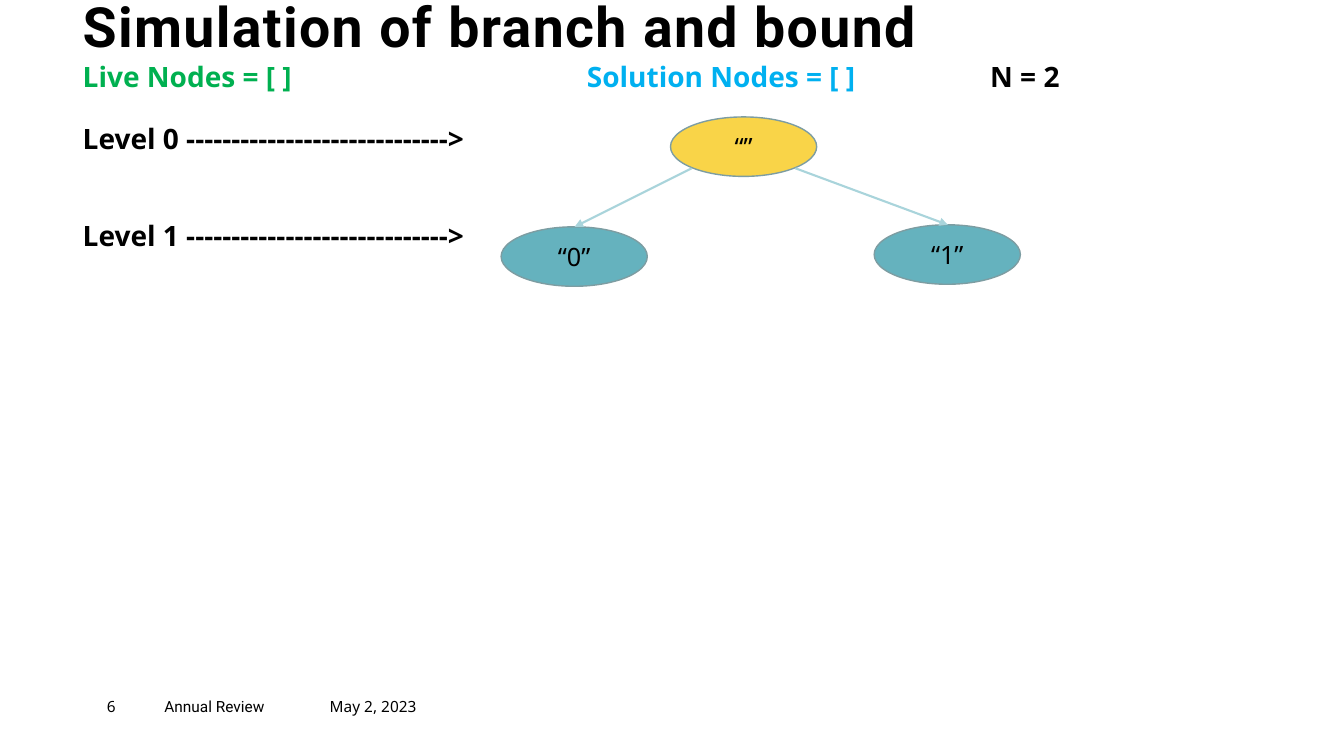
from pptx import Presentation
from pptx.dml.color import RGBColor
from pptx.enum.shapes import MSO_CONNECTOR, MSO_SHAPE
from pptx.enum.text import MSO_ANCHOR, PP_ALIGN
from pptx.oxml.ns import qn
from pptx.util import Inches, Pt
from lxml.etree import SubElement

COLORS = {
    "black": "000000",
    "green": "00B050",
    "blue": "00B0F0",
    "yellow": "F9D448",
    "teal": "65B2BE",
    "edge": "7D9DA2",
    "arrow": "A9D4DB",
}


def color(name):
    return RGBColor.from_string(COLORS[name])


def write(para, text, size=11, font="Noto Sans", ink="black", bold=False, track=0):
    run = para.add_run()
    run.text = text
    run.font.size = Pt(size)
    run.font.name = font
    run.font.bold = bold
    run.font.color.rgb = color(ink)
    if track:
        run.font._element.set("spc", str(track * 100))


deck = Presentation()
deck.slide_width = Inches(13.33)
deck.slide_height = Inches(7.5)
slide = deck.slides.add_slide(deck.slide_layouts[6])

frames = {}
for name, left, top, width, height in [
    ("title", 0.82, 0.02, 9.3, 0.57),
    ("date", 3.27, 6.92, 1.44, 0.27),
    ("footer", 1.63, 6.92, 1.64, 0.27),
    ("number", 1.06, 6.92, 0.57, 0.27),
    ("body", 0.82, 0.59, 11.15, 5.62),
]:
    box = slide.shapes.add_textbox(Inches(left), Inches(top), Inches(width), Inches(height))
    frame = box.text_frame
    frame.word_wrap = True
    frame.margin_left = frame.margin_right = frame.margin_top = frame.margin_bottom = 0
    frames[name] = frame

frames["title"].vertical_anchor = MSO_ANCHOR.BOTTOM
title = frames["title"].paragraphs[0]
title.line_spacing = 0.9
write(title, "Simulation of branch and bound", size=39.6, font="Roboto", bold=True, track=1)
write(frames["date"].paragraphs[0], "May 2, 2023")
write(frames["footer"].paragraphs[0], "Annual Review", font="Roboto")
write(frames["number"].paragraphs[0], "6")

status = frames["body"].paragraphs[0]
tabs = SubElement(status._p.get_or_add_pPr(), qn("a:tabLst"))
for stop in (3, 4, 5, 8, 9):
    SubElement(tabs, qn("a:tab"), pos=str(Inches(stop)), algn="l")
for text, ink in [
    ("Live Nodes = [ ]\t\t\t", "green"),
    ("Solution Nodes = [ ]\t\t", "blue"),
    ("N = 2", "black"),
]:
    write(status, text, size=20, ink=ink, bold=True)

for level, gap in enumerate((20.6, 44.9)):
    para = frames["body"].add_paragraph()
    para.space_before = Pt(gap)
    write(para, f"Level {level} " + "-" * 29 + ">", size=20, bold=True)

for text, left, top, fill in [
    ("“”", 6.65, 1.16, "yellow"),
    ("“1”", 8.67, 2.23, "teal"),
    ("“0”", 4.97, 2.25, "teal"),
]:
    node = slide.shapes.add_shape(
        MSO_SHAPE.OVAL, Inches(left), Inches(top), Inches(1.45), Inches(0.59)
    )
    node.shadow.inherit = False
    node.fill.solid()
    node.fill.fore_color.rgb = color(fill)
    node.line.color.rgb = color("edge")
    node.line.width = Pt(1)
    node.text_frame.vertical_anchor = MSO_ANCHOR.MIDDLE
    para = node.text_frame.paragraphs[0]
    para.alignment = PP_ALIGN.CENTER
    write(para, text, size=18)

for start, end, foot in [(6.86, 5.7, 2.25), (7.89, 9.4, 2.23)]:
    branch = slide.shapes.add_connector(
        MSO_CONNECTOR.STRAIGHT, Inches(start), Inches(1.67), Inches(end), Inches(foot)
    )
    branch.line.color.rgb = color("arrow")
    branch.line.width = Pt(1.5)
    SubElement(branch.line._get_or_add_ln(), qn("a:tailEnd"), type="triangle")
    SubElement(branch._element.spPr, qn("a:effectLst"))

deck.save("out.pptx")
